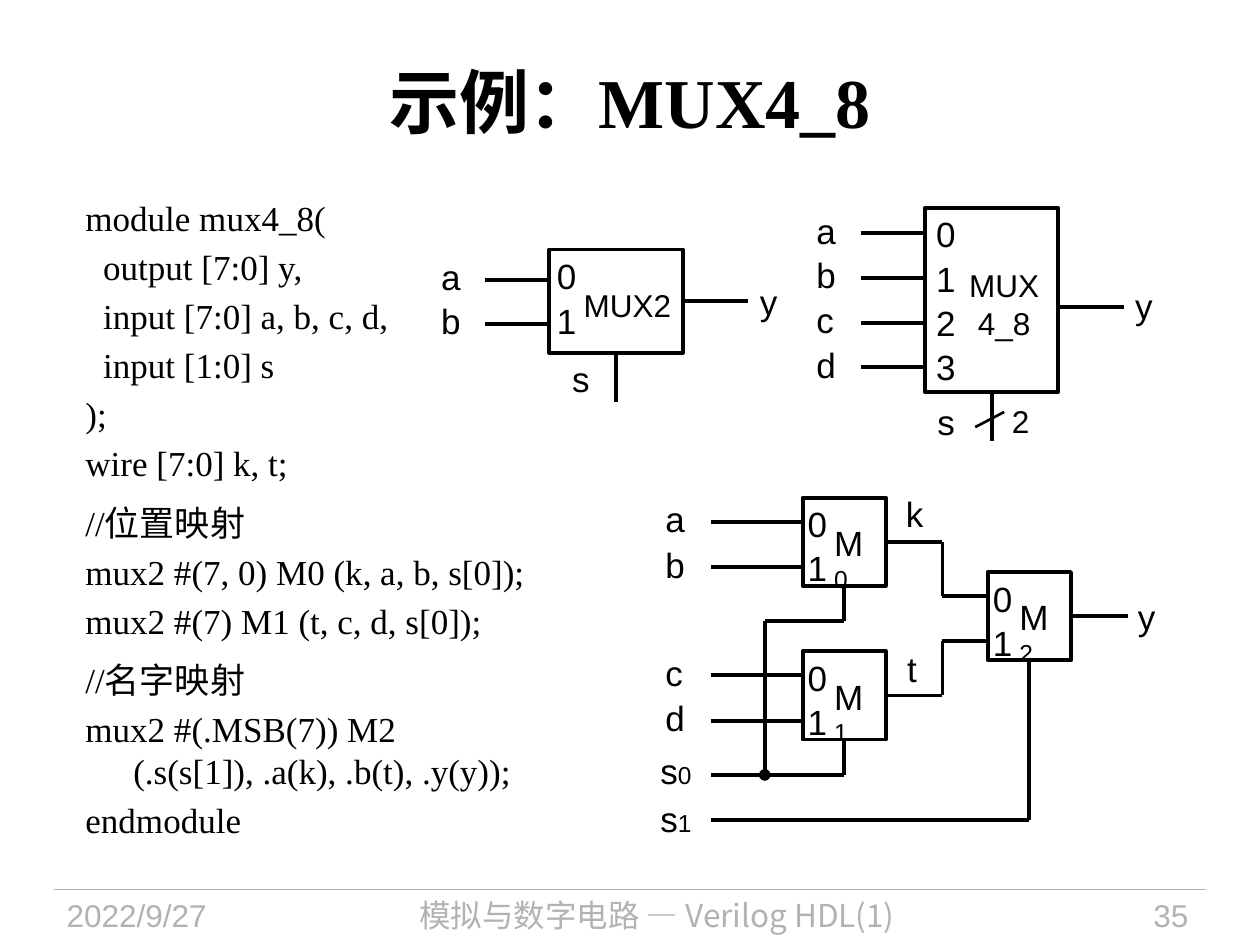
import pptx
import pptx.dml.color
import pptx.enum.shapes
import pptx.enum.text
import pptx.oxml.ns
import pptx.util
from lxml import etree
from pptx.util import Inches

BLACK = pptx.dml.color.RGBColor(0x00, 0x00, 0x00)
WHITE = pptx.dml.color.RGBColor(0xFF, 0xFF, 0xFF)
GRAY = pptx.dml.color.RGBColor(0xB2, 0xB2, 0xB2)
SANS, SERIF, CJK = "Arial", "Times New Roman", "Noto Sans CJK SC"
ALIGN = pptx.enum.text.PP_ALIGN
BOTTOM, RIGHT = 2, 3

# Code lines: text, extra left indent in inches, points before
CODE = [
    ("module mux4_8(", 0, 0),
    ("output [7:0] y,", 0.14, 0),
    ("input [7:0] a, b, c, d,", 0.14, 0),
    ("input [1:0] s", 0.14, 0),
    (");", 0, 0),
    ("wire [7:0] k, t;", 0, 0),
    ("//位置映射", 0, 6),
    ("mux2 #(7, 0) M0 (k, a, b, s[0]);", 0, 0),
    ("mux2 #(7) M1 (t, c, d, s[0]);", 0, 0),
    ("//名字映射", 0, 6),
    ("mux2 #(.MSB(7)) M2\v(.s(s[1]), .a(k), .b(t), .y(y));", 0, 0),
    ("endmodule", 0, 0),
]


def apply_format(target, values):
    for name, value in values.items():
        setattr(target, name, value)


def add_run(paragraph, text, size, font=SANS, color=BLACK, bold=False):
    run = paragraph.add_run()
    run.text = text
    apply_format(run.font, {"name": font, "size": pptx.util.Pt(size), "bold": bold})
    run.font.color.rgb = color
    east_asian = etree.SubElement(run.font._element, pptx.oxml.ns.qn("a:ea"))
    east_asian.set("typeface", CJK)


def add_frame(slide, left, top, width, height, wrap=True, margins=True):
    box = slide.shapes.add_textbox(Inches(left), Inches(top), Inches(width), Inches(height))
    frame = box.text_frame
    frame.word_wrap = wrap
    if not margins:
        sides = ("left", "top", "right", "bottom")
        apply_format(frame, {f"margin_{side}": 0 for side in sides})
    return frame


def add_label(slide, left, top, text, width=0.15, size=20, subscript="", wrap=False):
    """Diagram label; each line of text is a paragraph."""
    lines = text.split("\n")
    frame = add_frame(slide, left, top, width, 0.33 * len(lines), wrap, margins=False)
    for index, line in enumerate(lines):
        paragraph = frame.add_paragraph() if index else frame.paragraphs[0]
        paragraph.alignment = ALIGN.CENTER if width > 0.5 else ALIGN.LEFT
        add_run(paragraph, line, size)
        if subscript:
            add_run(paragraph, subscript, 14)


def add_wire(slide, x1, y1, x2, y2, block=None, site=None, width=2.25, color=BLACK, dot=False):
    """Line that may start at a connection site of a block."""
    wire = slide.shapes.add_connector(
        pptx.enum.shapes.MSO_CONNECTOR.STRAIGHT,
        Inches(x1), Inches(y1), Inches(x2), Inches(y2))
    wire.line.width = pptx.util.Pt(width)
    wire.line.color.rgb = color
    if dot:
        head = etree.SubElement(wire.line._get_or_add_ln(), pptx.oxml.ns.qn("a:headEnd"))
        head.set("type", "oval")
    etree.SubElement(wire._element.spPr, pptx.oxml.ns.qn("a:effectLst"))
    if block is not None:
        wire.begin_connect(block, site)


def add_block(slide, left, top, width, height):
    block = slide.shapes.add_shape(
        pptx.enum.shapes.MSO_SHAPE.RECTANGLE,
        Inches(left), Inches(top), Inches(width), Inches(height))
    block.shadow.inherit = False
    block.fill.solid()
    block.fill.fore_color.rgb = WHITE
    block.line.color.rgb = BLACK
    block.line.width = pptx.util.Pt(2.25)
    return block


def add_inputs(slide, names, label_left, wire_left, wire_right, first_y, step):
    for index, name in enumerate(names):
        y = first_y + index * step
        add_label(slide, label_left, y - 0.19, name)
        add_wire(slide, wire_right, y, wire_left, y)


def add_pins(slide, left, top, step, count):
    for index in range(count):
        add_label(slide, left, top + index * step, str(index))


def add_unit(slide, left, top, number):
    """Two-input multiplexer instance in the structure diagram."""
    block = add_block(slide, left, top, 0.66, 0.7)
    add_pins(slide, left + 0.04, top + 0.04, 0.35, 2)
    add_label(slide, left + 0.25, top + 0.19, "M", 0.33, subscript=number, wrap=True)
    return block


def draw_title(slide):
    frame = add_frame(slide, 0.5, 0.17, 9, 1.25)
    frame.vertical_anchor = pptx.enum.text.MSO_ANCHOR.MIDDLE
    paragraph = frame.paragraphs[0]
    paragraph.alignment = ALIGN.CENTER
    for text, font in (("示例", SERIF), ("：", CJK), ("MUX4_8", SERIF)):
        add_run(paragraph, text, 40, font, bold=True)


def draw_code(slide):
    frame = add_frame(slide, 0.58, 1.51, 4.53, 5.39)
    for index, (text, indent, before) in enumerate(CODE):
        paragraph = frame.add_paragraph() if index else frame.paragraphs[0]
        apply_format(paragraph, {
            "line_spacing": pptx.util.Pt(24),
            "space_before": pptx.util.Pt(before),
            "space_after": pptx.util.Pt(4),
        })
        properties = paragraph._p.get_or_add_pPr()
        properties.set("marL", str(Inches(0.38 + indent)))
        properties.set("indent", str(Inches(-0.38)))
        for part, line in enumerate(text.split("\v")):
            if part:
                paragraph.add_line_break()
            add_run(paragraph, line, 20, SERIF)


def draw_mux2(slide):
    block = add_block(slide, 4.36, 1.98, 1.06, 0.82)
    add_pins(slide, 4.42, 2.02, 0.36, 2)
    add_label(slide, 4.63, 2.27, "MUX2", 0.7, 18)
    add_inputs(slide, "ab", 3.5, 3.85, 4.36, 2.22, 0.35)
    add_wire(slide, 5.42, 2.39, 5.94, 2.39, block, RIGHT)
    add_wire(slide, 4.89, 2.8, 4.89, 3.19, block, BOTTOM)
    add_label(slide, 4.54, 2.84, "s")
    add_label(slide, 6.03, 2.23, "y")


def draw_mux4(slide):
    block = add_block(slide, 7.34, 1.65, 1.06, 1.46)
    add_pins(slide, 7.43, 1.69, 0.35, 4)
    add_label(slide, 7.69, 2.11, "MUX\n4_8", 0.56, 18)
    add_inputs(slide, "abcd", 6.48, 6.83, 7.34, 1.85, 0.355)
    add_wire(slide, 8.4, 2.44, 8.92, 2.44)
    add_wire(slide, 7.87, 3.11, 7.87, 3.5, block, BOTTOM)
    add_wire(slide, 7.97, 3.27, 7.74, 3.39, width=1.5)
    add_label(slide, 7.44, 3.18, "s")
    add_label(slide, 8.03, 3.19, "2", size=18)
    add_label(slide, 9.01, 2.26, "y")


def draw_structure(slide):
    m0 = add_unit(slide, 6.37, 3.95, "0")
    m1 = add_unit(slide, 6.37, 5.17, "1")
    m2 = add_unit(slide, 7.84, 4.54, "2")
    add_inputs(slide, "ab", 5.28, 5.64, 6.37, 4.14, 0.36)
    add_inputs(slide, "cd", 5.28, 5.64, 6.37, 5.36, 0.36)
    # Outputs of M0 and M1 into M2
    for block, output_y, input_y in ((m0, 4.3, 4.73), (m1, 5.52, 5.09)):
        add_wire(slide, 7.03, output_y, 7.48, output_y, block, RIGHT)
        add_wire(slide, 7.48, output_y, 7.48, input_y)
        add_wire(slide, 7.48, input_y, 7.84, input_y)
    add_wire(slide, 8.5, 4.89, 8.95, 4.89, m2, RIGHT)
    # Select lines
    add_wire(slide, 6.7, 4.65, 6.7, 4.93, m0, BOTTOM)
    add_wire(slide, 6.7, 4.93, 6.07, 4.93)
    add_wire(slide, 6.07, 6.15, 6.07, 4.93, dot=True)
    add_wire(slide, 6.7, 5.87, 6.7, 6.15, m1, BOTTOM)
    add_wire(slide, 6.7, 6.15, 5.64, 6.15)
    add_wire(slide, 8.17, 5.24, 8.17, 6.51, m2, BOTTOM)
    add_wire(slide, 8.17, 6.51, 5.64, 6.51)
    for number, top in (("0", 5.95), ("1", 6.33)):
        add_label(slide, 5.24, top, "s", 0.25, subscript=number)
    for name, left, top in (("k", 7.19, 3.91), ("t", 7.2, 5.14), ("y", 9.03, 4.73)):
        add_label(slide, left, top, name)


def draw_footer(slide):
    add_wire(slide, 0.43, 7.06, 9.57, 7.06, width=0.75, color=GRAY)
    for text, left, width, font, alignment in (
            ("2022/9/27", 0.43, 1.88, SANS, ALIGN.LEFT),
            ("模拟与数字电路 — Verilog HDL(1)", 2.4, 5.63, CJK, ALIGN.CENTER),
            ("35", 8.2, 1.33, SANS, ALIGN.RIGHT)):
        paragraph = add_frame(slide, left, 7.06, width, 0.44).paragraphs[0]
        paragraph.alignment = alignment
        add_run(paragraph, text, 18, font, GRAY)


def main():
    presentation = pptx.Presentation()
    apply_format(presentation, {"slide_width": Inches(10), "slide_height": Inches(7.5)})
    slide = presentation.slides.add_slide(presentation.slide_layouts[6])
    for draw in (draw_title, draw_code, draw_mux4, draw_structure, draw_mux2, draw_footer):
        draw(slide)
    presentation.save("out.pptx")


if __name__ == "__main__":
    main()
